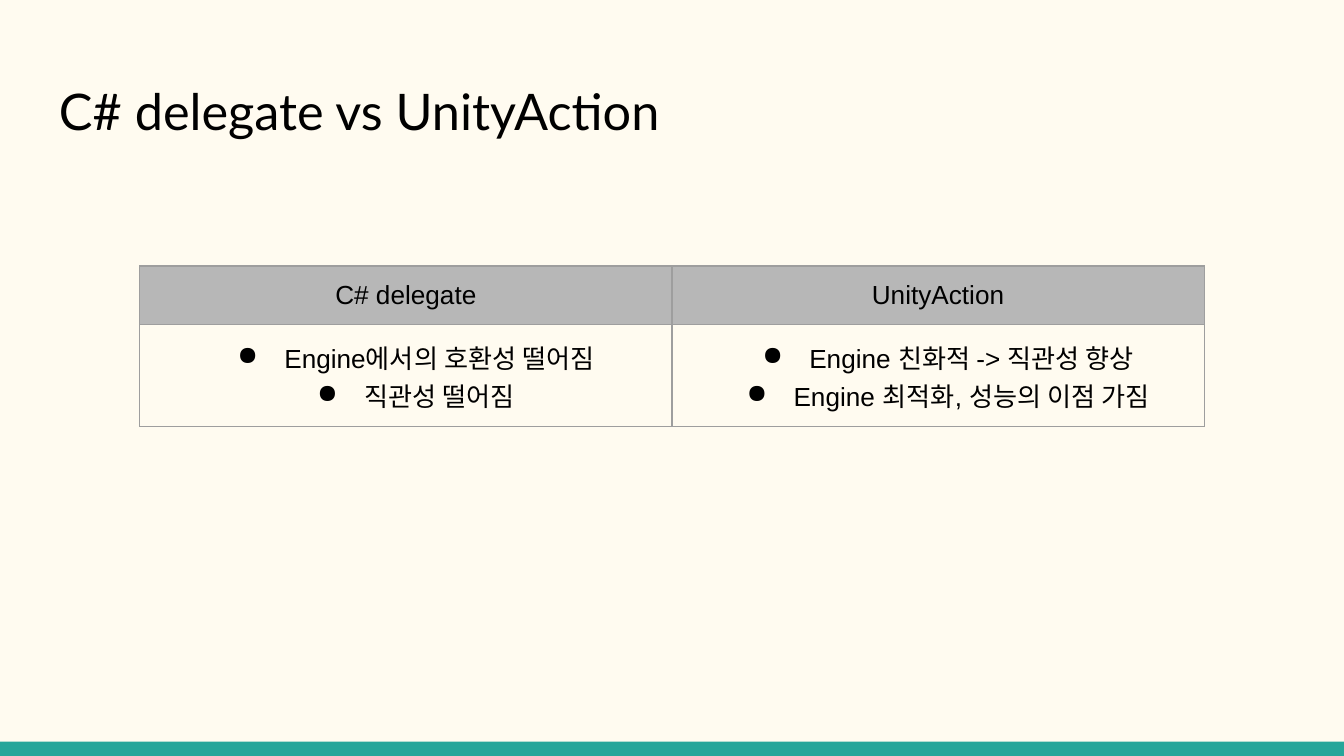
from dataclasses import dataclass

from lxml.etree import SubElement
from pptx import Presentation
from pptx.dml.color import RGBColor
from pptx.enum.shapes import MSO_SHAPE
from pptx.enum.text import MSO_ANCHOR, PP_ALIGN
from pptx.oxml.ns import qn
from pptx.util import Emu, Inches, Pt

WIDTH, HEIGHT = Inches(10), Inches(5.625)
INSET = Inches(0.1)
CREAM, TEAL, GREY, LINE, BLACK = "FFFBF0", "26A69A", "B7B7B7", "9E9E9E", "000000"


@dataclass
class Column:
    heading: str
    points: list[str]


COLUMNS = [
    Column("C# delegate", ["Engine에서의 호환성 떨어짐", "직관성 떨어짐"]),
    Column("UnityAction", ["Engine 친화적 -> 직관성 향상", "Engine 최적화, 성능의 이점 가짐"]),
]


def color(code: str) -> RGBColor:
    return RGBColor.from_string(code)


def across(share: float) -> Emu:
    return Emu(round(WIDTH * share))


def down(share: float) -> Emu:
    return Emu(round(HEIGHT * share))


def add_span(para, text: str, font: str, size: float) -> None:
    span = para.add_run()
    span.text = text
    span.font.name = font
    span.font.size = Pt(size)
    span.font.color.rgb = color(BLACK)


def add_bullet(para) -> None:
    properties = para._p.get_or_add_pPr()
    properties.set("marL", str(Inches(0.5)))
    properties.set("indent", str(-Inches(0.35)))
    bullet_color = SubElement(properties, qn("a:buClr"))
    SubElement(bullet_color, qn("a:srgbClr"), val=BLACK)
    SubElement(properties, qn("a:buChar"), char="●")


def add_borders(cell) -> None:
    properties = cell._tc.get_or_add_tcPr()
    for index, side in enumerate(("lnL", "lnR", "lnT", "lnB")):
        border = properties.makeelement(qn(f"a:{side}"), {"w": str(Pt(0.75))})
        fill = SubElement(border, qn("a:solidFill"))
        SubElement(fill, qn("a:srgbClr"), val=LINE)
        properties.insert(index, border)


def fill_cell(cell, lines: list[str], is_heading: bool) -> None:
    cell.margin_left = cell.margin_right = cell.margin_top = cell.margin_bottom = INSET
    cell.vertical_anchor = MSO_ANCHOR.MIDDLE
    if is_heading:
        cell.fill.solid()
        cell.fill.fore_color.rgb = color(GREY)
    else:
        cell.fill.background()
    add_borders(cell)
    frame = cell.text_frame
    for index, line in enumerate(lines):
        para = frame.add_paragraph() if index else frame.paragraphs[0]
        para.alignment = PP_ALIGN.CENTER
        if not is_heading:
            add_bullet(para)
        add_span(para, line, "Arial", 14)


def add_footer_bar(page) -> None:
    bar = page.shapes.add_shape(
        MSO_SHAPE.RECTANGLE, 0, down(0.981), WIDTH, down(0.019))
    bar.shadow.inherit = False
    bar.fill.solid()
    bar.fill.fore_color.rgb = color(TEAL)
    bar.line.fill.background()


def add_title(page, text: str) -> None:
    box = page.shapes.add_textbox(across(0.034), down(0.087), across(0.932), down(0.119))
    frame = box.text_frame
    frame.word_wrap = True
    frame.vertical_anchor = MSO_ANCHOR.MIDDLE
    frame.margin_left = frame.margin_right = frame.margin_top = frame.margin_bottom = INSET
    add_span(frame.paragraphs[0], text, "Lato", 27)


def add_comparison(page, columns: list[Column]) -> None:
    heights = [Inches(0.42), Inches(0.76)]
    table = page.shapes.add_table(
        len(heights), len(columns), across(0.104), down(0.352),
        across(0.792), sum(heights)).table
    table.first_row = table.horz_banding = False
    for row, height in zip(table.rows, heights):
        row.height = height
    for index, column in enumerate(columns):
        fill_cell(table.cell(0, index), [column.heading], True)
        fill_cell(table.cell(1, index), column.points, False)


def main() -> None:
    deck = Presentation()
    deck.slide_width, deck.slide_height = WIDTH, HEIGHT
    page = deck.slides.add_slide(deck.slide_layouts[6])
    page.background.fill.solid()
    page.background.fill.fore_color.rgb = color(CREAM)
    # Footer, title and comparison table
    add_footer_bar(page)
    add_title(page, "C# delegate vs UnityAction")
    add_comparison(page, COLUMNS)
    deck.save("out.pptx")


if __name__ == "__main__":
    main()
